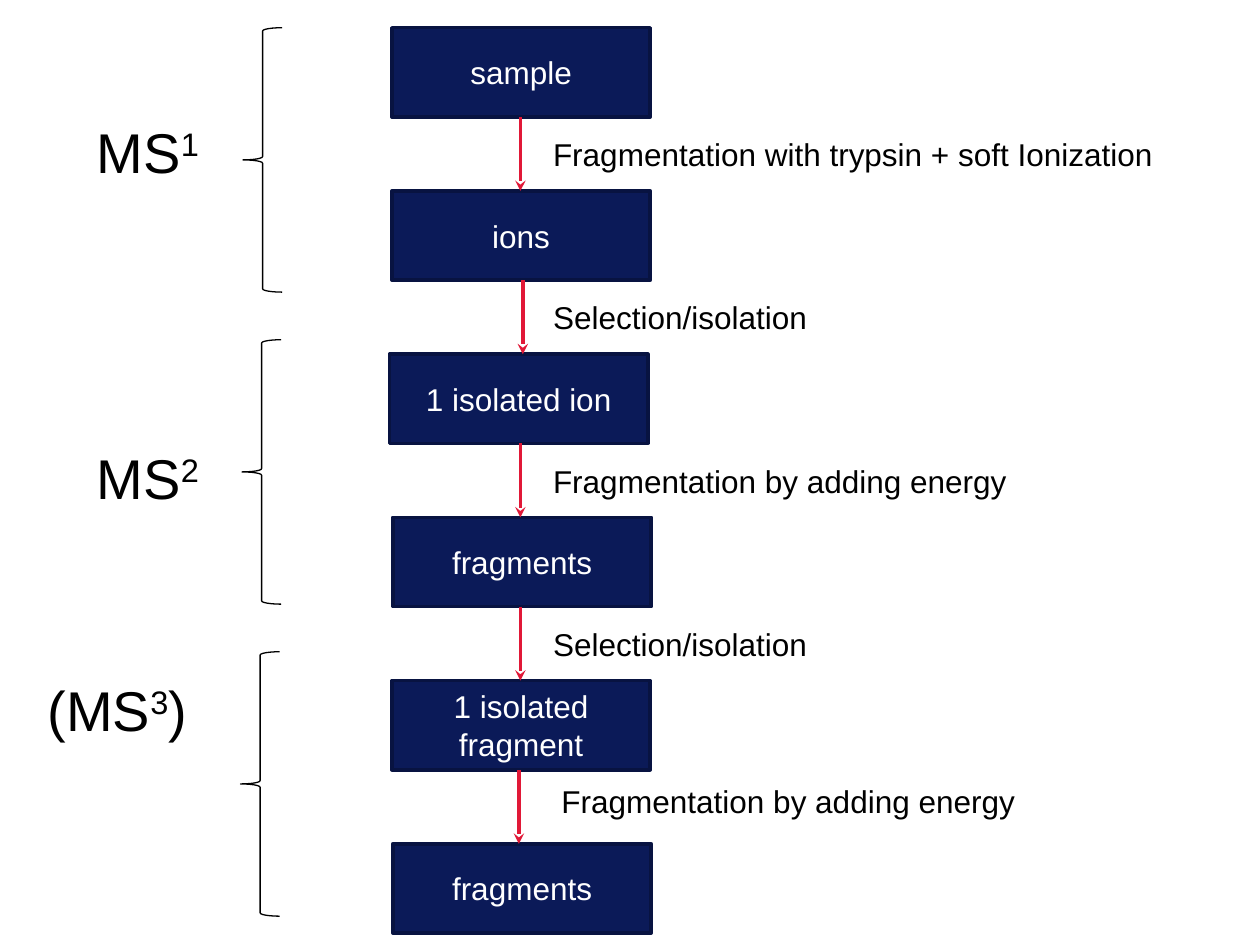
from lxml import etree
from pptx import Presentation
from pptx.dml.color import RGBColor
from pptx.enum.shapes import MSO_CONNECTOR, MSO_SHAPE
from pptx.enum.text import MSO_ANCHOR, MSO_AUTO_SIZE, PP_ALIGN
from pptx.oxml.ns import qn
from pptx.util import Cm, Pt

RECTANGLE = MSO_SHAPE.RECTANGLE
LEFT_BRACE = MSO_SHAPE.LEFT_BRACE
STRAIGHT = MSO_CONNECTOR.STRAIGHT
MIDDLE = MSO_ANCHOR.MIDDLE
CENTER = PP_ALIGN.CENTER
FIT_SHAPE = MSO_AUTO_SIZE.SHAPE_TO_FIT_TEXT

FONT = "Arial"
NAVY, DARK_NAVY, RED = "0B1A58", "081341", "E11837"
BLACK, WHITE = "000000", "FFFFFF"

# Layout in centimetres
FIRST_TOP = 0.56
STAGE_PITCH = 3.29
STAGE_WIDTH, STAGE_HEIGHT = 5.21, 1.8
LEVEL_PITCH = 6.29
BRACE_WIDTH, BRACE_HEIGHT = 0.79, 5.33

# Stage name and left edge
STAGES = [
    ("sample", 7.9),
    ("ions", 7.9),
    ("1 isolated ion", 7.85),
    ("fragments", 7.92),
    ("1 isolated fragment", 7.9),
    ("fragments", 7.92),
]
# Process, its arrow's x, and the caption's left, top and width
STEPS = [
    ("Fragmentation with trypsin + soft Ionization", 10.49, 10.9, 2.59, 13.21),
    ("Selection/isolation", 10.54, 10.9, 5.88, 7.01),
    ("Fragmentation by adding energy", 10.49, 10.9, 9.18, 10.01),
    ("Selection/isolation", 10.49, 10.9, 12.47, 7.01),
    ("Fragmentation by adding energy", 10.46, 11.07, 15.65, 10.01),
]
# Label as (text, is superscript) parts, its left, top and width, and the brace's left
LEVELS = [
    ([("MS", False), ("1", True)], 1.7, 2.24, 2.79, 4.9),
    ([("MS", False), ("2", True)], 1.7, 8.81, 2.79, 4.88),
    ([("(MS", False), ("3", True), (")", False)], 0.71, 13.49, 3.73, 4.85),
]


def color(hex_value):
    return RGBColor.from_string(hex_value)


def set_font(paragraph, size, hex_value):
    paragraph.font.name = FONT
    paragraph.font.size = Pt(size)
    paragraph.font.color.rgb = color(hex_value)


def set_line(item, hex_value, width):
    item.line.color.rgb = color(hex_value)
    item.line.width = Pt(width)


def add_stage(slide, name, left, top):
    stage = slide.shapes.add_shape(
        RECTANGLE, Cm(left), Cm(top), Cm(STAGE_WIDTH), Cm(STAGE_HEIGHT))
    stage.shadow.inherit = False
    stage.fill.solid()
    stage.fill.fore_color.rgb = color(NAVY)
    set_line(stage, DARK_NAVY, 2)
    frame = stage.text_frame
    frame.word_wrap = True
    frame.vertical_anchor = MIDDLE
    frame.text = name
    frame.paragraphs[0].alignment = CENTER
    set_font(frame.paragraphs[0], 18, WHITE)


def add_arrow(slide, x, top, bottom):
    arrow = slide.shapes.add_connector(STRAIGHT, Cm(x), Cm(top), Cm(x), Cm(bottom))
    set_line(arrow, RED, 2)
    etree.SubElement(arrow.line._get_or_add_ln(), qn("a:tailEnd"), type="stealth")
    etree.SubElement(arrow._element.spPr, qn("a:effectLst"))


def add_text(slide, parts, left, top, width, height, size):
    box = slide.shapes.add_textbox(Cm(left), Cm(top), Cm(width), Cm(height))
    frame = box.text_frame
    frame.word_wrap = True
    frame.auto_size = FIT_SHAPE
    paragraph = frame.paragraphs[0]
    set_font(paragraph, size, BLACK)
    for text, superscript in parts:
        run = paragraph.add_run()
        run.text = text
        if superscript:
            run.font._element.set("baseline", "30000")


def add_brace(slide, left, top):
    brace = slide.shapes.add_shape(
        LEFT_BRACE, Cm(left), Cm(top), Cm(BRACE_WIDTH), Cm(BRACE_HEIGHT))
    brace.shadow.inherit = False
    brace.fill.background()
    set_line(brace, BLACK, 0.75)


def main():
    prs = Presentation()
    prs.slide_width, prs.slide_height = Cm(25.4), Cm(19.05)
    slide = prs.slides.add_slide(prs.slide_layouts[6])

    # Stages of the sample
    for i, (name, left) in enumerate(STAGES):
        add_stage(slide, name, left, FIRST_TOP + i * STAGE_PITCH)

    # Steps between the stages
    for i, (process, x, left, top, width) in enumerate(STEPS):
        stage_top = FIRST_TOP + i * STAGE_PITCH
        add_arrow(slide, x, stage_top + STAGE_HEIGHT, stage_top + STAGE_PITCH)
        add_text(slide, [(process, False)], left, top, width, 1.02, 18)

    # Levels of mass spectrometry
    for i, (parts, left, top, width, brace_left) in enumerate(LEVELS):
        add_brace(slide, brace_left, FIRST_TOP + i * LEVEL_PITCH)
        add_text(slide, parts, left, top, width, 1.63, 32)

    prs.save("out.pptx")


if __name__ == "__main__":
    main()
